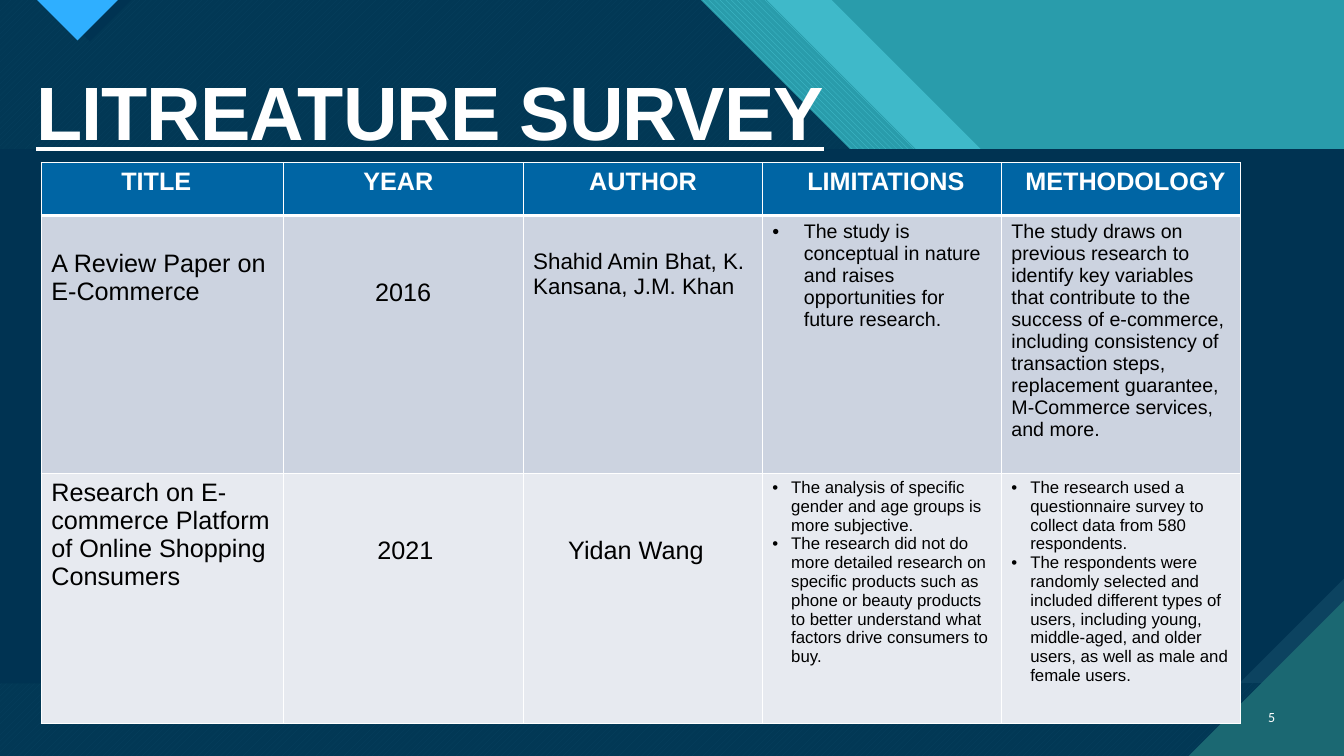
"""Build the literature survey slide with its geometric backdrop and table."""

from dataclasses import dataclass
from typing import Optional

from lxml.etree import SubElement
from pptx import Presentation
from pptx.dml.color import RGBColor
from pptx.enum.dml import MSO_PATTERN
from pptx.enum.text import MSO_ANCHOR, PP_ALIGN
from pptx.oxml.ns import qn
from pptx.slide import Slide
from pptx.table import _Cell
from pptx.text.text import _Paragraph
from pptx.util import Pt

WHITE = RGBColor(0xFF, 0xFF, 0xFF)
BLACK = RGBColor(0x00, 0x00, 0x00)
NAVY = RGBColor(0x00, 0x33, 0x52)
DEEP_BLUE = RGBColor(0x0C, 0x43, 0x60)
SKY = RGBColor(0x2F, 0xAF, 0xFF)
TEAL = RGBColor(0x29, 0x9C, 0xAB)
LIGHT_TEAL = RGBColor(0x3F, 0xB9, 0xC9)
AQUA = RGBColor(0x47, 0xC3, 0xD3)
DARK_TEAL = RGBColor(0x1B, 0x68, 0x72)
HEADER_BLUE = RGBColor(0x00, 0x65, 0xA4)
ROW_FILLS = (HEADER_BLUE, RGBColor(0xCC, 0xD3, 0xE0), RGBColor(0xE7, 0xEA, 0xF0))

WIDTH, HEIGHT = 960, 540
BAND_TOP, BAND_BOTTOM, SNIP = 106.6, 488.2, 75
CORNER = 111
SIDE_MARGIN, TOP_MARGIN = 7.2, 3.6
BLANK_LINE = 20.7
COLUMN_WIDTHS = (172.8, 171.4, 170.8, 170.8, 170.8)
ROW_HEIGHTS = (38, 184, 179)


@dataclass(frozen=True)
class Panel:
    points: tuple[tuple[float, float], ...]
    color: RGBColor
    back_color: Optional[RGBColor] = None
    pattern: Optional[MSO_PATTERN] = None
    opacity: int = 100


@dataclass(frozen=True)
class Entry:
    lines: tuple[str, ...]
    size: float = 18
    indent: float = 0
    lines_above: int = 0
    bullet: float = 0
    align: PP_ALIGN = PP_ALIGN.LEFT


def stepped(start: float, ledge_end: float) -> tuple[tuple[float, float], ...]:
    """Return the left-hand area bounded by a descending stepped edge."""
    ledge = 214
    return ((0, 0), (start, 0), (start + ledge, ledge), (ledge_end, ledge),
            (WIDTH, ledge + WIDTH - ledge_end), (WIDTH, HEIGHT), (0, HEIGHT))


def pointer(left: float, depth: float) -> tuple[tuple[float, float], ...]:
    """Return a triangle hanging from the top edge."""
    return (left, 0), (left + 2 * depth, 0), (left + depth, depth)


PANELS = (
    Panel(stepped(594, 888.5), LIGHT_TEAL),
    Panel(stepped(547.5, 852.5), AQUA, TEAL, MSO_PATTERN.WIDE_DOWNWARD_DIAGONAL),
    Panel(stepped(500.4, 805), AQUA, DARK_TEAL, MSO_PATTERN.WIDE_UPWARD_DIAGONAL),
    Panel(stepped(500.4, 805), NAVY, opacity=90),
    Panel(pointer(34.6, 29.6), NAVY),
    Panel(pointer(26.6, 28.8), SKY),
    Panel(((0, BAND_TOP), (WIDTH, BAND_TOP), (WIDTH, BAND_BOTTOM), (0, BAND_BOTTOM)), DEEP_BLUE),
    Panel(((0, BAND_TOP), (WIDTH, BAND_TOP), (WIDTH, BAND_BOTTOM - SNIP),
           (WIDTH - SNIP, BAND_BOTTOM), (0, BAND_BOTTOM)), NAVY),
    Panel(((WIDTH - CORNER, HEIGHT), (WIDTH, HEIGHT), (WIDTH, HEIGHT - CORNER)), DARK_TEAL),
)

ROWS = (
    (
        Entry(("TITLE",), indent=50),
        Entry(("YEAR",), indent=50),
        Entry(("AUTHOR",), indent=40),
        Entry(("LIMITATIONS",), indent=25),
        Entry(("METHODOLOGY",), indent=10),
    ),
    (
        Entry(("A Review Paper on E-Commerce",), lines_above=1),
        Entry(("2016",), lines_above=2, align=PP_ALIGN.CENTER),
        Entry(("Shahid Amin Bhat, K. Kansana, J.M. Khan",), size=16, lines_above=1),
        Entry(("The study is conceptual in nature and raises opportunities for future research.",),
              size=14, bullet=22.5),
        Entry(("The study draws on previous research to identify key variables that contribute to "
               "the success of e-commerce, including consistency of transaction steps, "
               "replacement guarantee, M-Commerce services, and more.",), size=14),
    ),
    (
        Entry(("Research on E-commerce Platform of Online Shopping Consumers",)),
        Entry(("2021",), indent=60, lines_above=2),
        Entry(("Yidan Wang",), indent=25, lines_above=2),
        Entry(("The analysis of specific gender and age groups is more subjective.",
               "The research did not do more detailed research on specific products such as phone "
               "or beauty products to better understand what factors drive consumers to buy."),
              size=12, bullet=13.5),
        Entry(("The research used a questionnaire survey to collect data from 580 respondents.",
               "The respondents were randomly selected and included different types of users, "
               "including young, middle-aged, and older users, as well as male and female users."),
              size=12, bullet=13.5),
    ),
)


def draw_panel(page: Slide, panel: Panel) -> None:
    """Draw one borderless backdrop polygon."""
    start, *others = [(Pt(x), Pt(y)) for x, y in panel.points]
    builder = page.shapes.build_freeform(*start)
    builder.add_line_segments(others, close=True)
    shape = builder.convert_to_shape()
    shape.shadow.inherit = False
    shape.line.fill.background()
    if panel.pattern is None:
        shape.fill.solid()
        shape.fill.fore_color.rgb = panel.color
    else:
        shape.fill.patterned()
        shape.fill.pattern = panel.pattern
        shape.fill.fore_color.rgb = panel.color
        shape.fill.back_color.rgb = panel.back_color
    if panel.opacity < 100:
        color = shape._element.spPr.find(qn("a:solidFill"))[0]
        SubElement(color, qn("a:alpha"), val=str(panel.opacity * 1000))


def style(para: _Paragraph, size: float, color: RGBColor, bold: bool = False,
          name: str = "Arial") -> None:
    """Set the font shared by the whole paragraph."""
    para.font.name = name
    para.font.size = Pt(size)
    para.font.bold = bold
    para.font.color.rgb = color


def add_text(page: Slide, text: str, frame: tuple[float, float, float, float],
             anchor: MSO_ANCHOR) -> _Paragraph:
    """Add a one-paragraph text box and return its paragraph."""
    box = page.shapes.add_textbox(*(Pt(length) for length in frame))
    box.text_frame.word_wrap = True
    box.text_frame.vertical_anchor = anchor
    para = box.text_frame.paragraphs[0]
    para.text = text
    return para


def add_borders(cell: _Cell, top: float, bottom: float) -> None:
    """Give a cell white borders."""
    properties = cell._tc.get_or_add_tcPr()
    for side, width in (("L", 1), ("R", 1), ("T", top), ("B", bottom)):
        line = SubElement(properties, qn(f"a:ln{side}"), w=str(Pt(width)))
        SubElement(SubElement(line, qn("a:solidFill")), qn("a:srgbClr"), val=str(WHITE))


def fill_cell(cell: _Cell, entry: Entry, row: int) -> None:
    """Write and format one table cell."""
    add_borders(cell, top=3 if row == 1 else 1, bottom=3 if row == 0 else 1)
    cell.fill.solid()
    cell.fill.fore_color.rgb = ROW_FILLS[row]
    cell.margin_left = Pt(SIDE_MARGIN + entry.indent)
    cell.margin_right = Pt(0 if row == 0 else SIDE_MARGIN)
    cell.margin_top = Pt(TOP_MARGIN + entry.lines_above * BLANK_LINE)
    cell.text = "\n".join(entry.lines)
    for para in cell.text_frame.paragraphs:
        para.alignment = entry.align
        if entry.bullet:
            properties = para._p.get_or_add_pPr()
            properties.set("marL", str(Pt(entry.bullet)))
            properties.set("indent", str(-Pt(entry.bullet)))
            SubElement(properties, qn("a:buFont"), typeface="Arial")
            SubElement(properties, qn("a:buChar"), char="•")
        style(para, entry.size, WHITE if row == 0 else BLACK, bold=row == 0)


def add_survey_table(page: Slide) -> None:
    """Add the survey table."""
    frame = page.shapes.add_table(len(ROWS), len(COLUMN_WIDTHS), Pt(29.5), Pt(116),
                                  Pt(sum(COLUMN_WIDTHS)), Pt(sum(ROW_HEIGHTS)))
    table = frame.table
    table.horz_banding = False
    for column, width in zip(table.columns, COLUMN_WIDTHS):
        column.width = Pt(width)
    for row, entries in enumerate(ROWS):
        table.rows[row].height = Pt(ROW_HEIGHTS[row])
        for column, entry in enumerate(entries):
            fill_cell(table.cell(row, column), entry, row)


def main() -> None:
    """Build and save the deck."""
    deck = Presentation()
    deck.slide_width, deck.slide_height = Pt(WIDTH), Pt(HEIGHT)
    page = deck.slides.add_slide(deck.slide_layouts[6])
    page.background.fill.solid()
    page.background.fill.fore_color.rgb = TEAL
    for panel in PANELS:
        draw_panel(page, panel)
    title = add_text(page, "LITREATURE SURVEY", (19, 49.7, 883, 66), MSO_ANCHOR.BOTTOM)
    title.line_spacing = 0.9
    style(title, 54, WHITE, bold=True)
    title.font.underline = True
    title._p.pPr.defRPr.set("spc", "-70") if hasattr(title._p.pPr, "defRPr") else None
    number = add_text(page, "5", (886.5, 497.5, 31.5, 29), MSO_ANCHOR.MIDDLE)
    number.alignment = PP_ALIGN.RIGHT
    style(number, 10, WHITE, name="Calibri")
    add_survey_table(page)
    deck.save("out.pptx")


if __name__ == "__main__":
    main()
